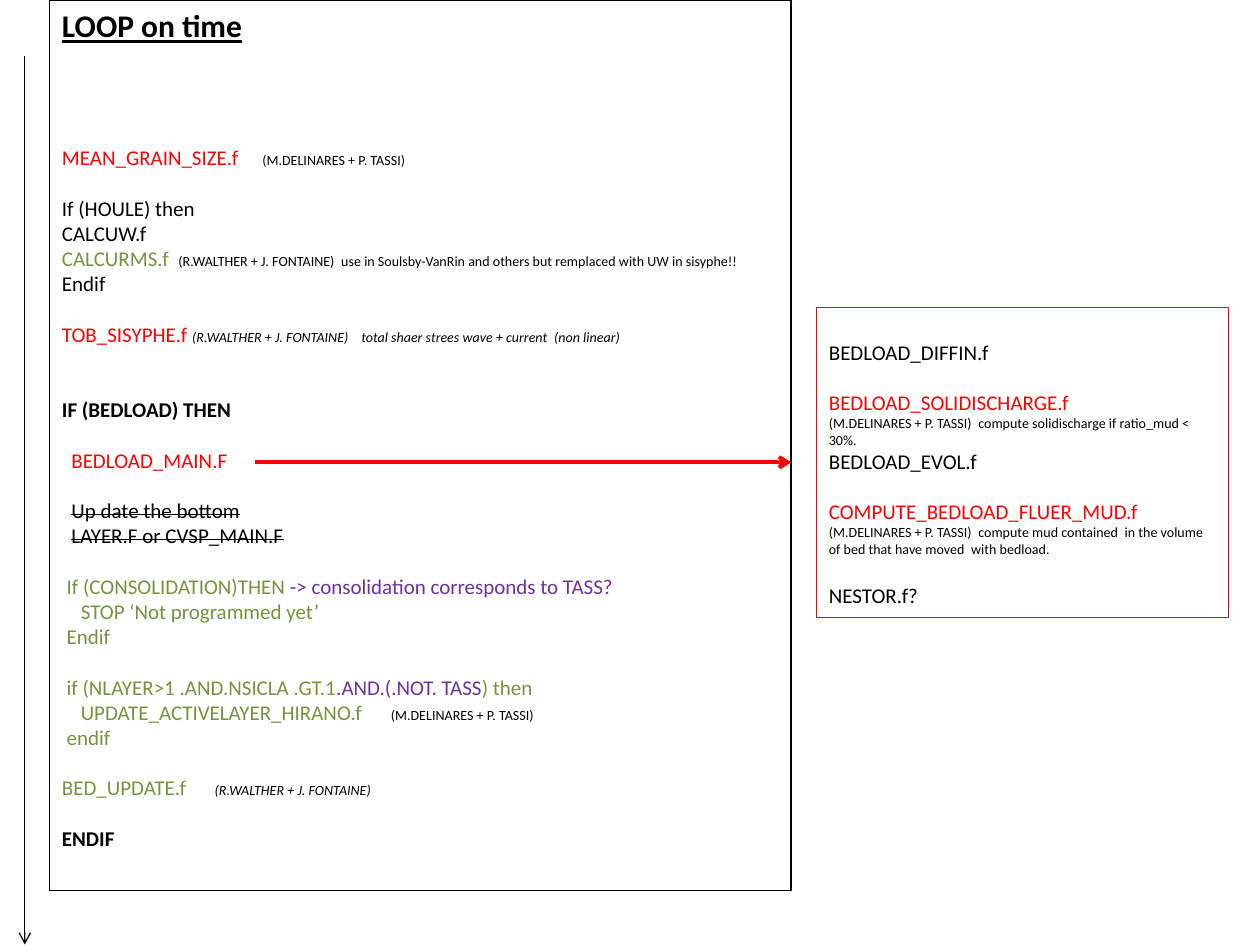
from lxml import etree
from pptx import Presentation
from pptx.dml.color import RGBColor
from pptx.enum.shapes import MSO_CONNECTOR, MSO_SHAPE
from pptx.enum.text import MSO_ANCHOR, PP_ALIGN
from pptx.oxml.ns import qn
from pptx.util import Cm, Pt

RECT = MSO_SHAPE.RECTANGLE
LINE = MSO_CONNECTOR.STRAIGHT
TOP = MSO_ANCHOR.TOP
LEFT = PP_ALIGN.LEFT

HUES = {"black": "000000", "red": "FF0000", "green": "77933C", "purple": "7030A0"}
STYLES = {
    "title": (18, "black", "bu"),
    "bold": (12, "black", "b"),
    "code": (12, "black", ""),
    "gone": (12, "black", "s"),
    "red": (12, "red", ""),
    "green": (12, "green", ""),
    "purple": (12, "purple", ""),
    "note": (8, "black", ""),
    "slant": (8, "black", "i"),
}
ROW = 14.4
STEP = 0.095
SPACE = 0.226
FONT = "Calibri"
GRAIN = "(M.DELINARES + P. TASSI)"
WAVE = "(R.WALTHER + J. FONTAINE)"

# rows: blank rows above, indent steps, runs; a number is a space that many times as wide
LOOP = [
    (0, 0, [("LOOP on time", "title")]),
    (4, 0, [("MEAN_GRAIN_SIZE.f", "red"), (5, "red"), (GRAIN, "note")]),
    (1, 0, [("If (HOULE) then", "code")]),
    (0, 0, [("CALCUW.f", "code")]),
    (0, 0, [("CALCURMS.f", "green"), (2, "green"), (WAVE, "note"), (2, "note"),
            ("use in Soulsby-VanRin and others but remplaced with UW in sisyphe!!", "note")]),
    (0, 0, [("Endif", "code")]),
    (1, 0, [("TOB_SISYPHE.f ", "red"), (WAVE, "slant"), (4, "slant"),
            ("total shaer strees wave + current", "slant"), (2, "slant"),
            ("(non linear)", "slant")]),
    (2, 0, [("IF (BEDLOAD) THEN", "bold")]),
    (1, 2, [("BEDLOAD_MAIN.F", "red")]),
    (1, 2, [("Up date the bottom", "gone")]),
    (0, 2, [("LAYER.F or CVSP_MAIN.F", "gone")]),
    (1, 1, [("If (CONSOLIDATION)THEN ", "green"),
            ("-> consolidation corresponds to TASS?", "purple")]),
    (0, 4, [("STOP ‘Not programmed yet’", "green")]),
    (0, 1, [("Endif", "green")]),
    (1, 1, [("if (NLAYER>1 .AND.NSICLA .GT.1", "green"),
            (".AND.(.NOT. TASS", "purple"), (") then", "green")]),
    (0, 4, [("UPDATE_ACTIVELAYER_HIRANO.f", "green"), (6, "green"), (GRAIN, "note")]),
    (0, 1, [("endif", "green")]),
    (1, 0, [("BED_UPDATE.f", "green"), (6, "green"), (WAVE, "slant")]),
    (1, 0, [("ENDIF", "bold")]),
]
BEDLOAD = [
    (0, 0, [("BEDLOAD_DIFFIN.f", "code")]),
    (1, 0, [("BEDLOAD_SOLIDISCHARGE.f", "red")]),
    (0, 0, [(GRAIN, "note"), (2, "note"),
            ("compute solidischarge if ratio_mud < 30%.", "note")]),
    (0, 0, [("BEDLOAD_EVOL.f", "code")]),
    (1, 0, [("COMPUTE_BEDLOAD_FLUER_MUD.f", "red")]),
    (0, 0, [(GRAIN, "note"), (2, "note"), ("compute mud contained", "note"), (2, "note"),
            ("in the volume of bed that have moved", "note"), (2, "note"),
            ("with bedload.", "note")]),
    (1, 0, [("NESTOR.f?", "code")]),
]
BOXES = [
    ((1, 0, 14.95, 17.95), "black", 0.13, LOOP),
    ((16.46, 6.2, 8.3, 6.25), "red", 0.64, BEDLOAD),
]
ARROWS = [
    ((0.5, 1.12, 0.5, 19.04), "black", 0.75),
    ((5.15, 9.32, 15.95, 9.32), "red", 2.25),
]


def hue(name):
    return RGBColor.from_string(HUES[name])


def add_run(par, text, style):
    size, tint, marks = STYLES[style]
    run = par.add_run()
    props = run._r.get_or_add_rPr()
    if isinstance(text, int):
        run.text = " "
        props.set("spc", str(round((text - 1) * SPACE * size * 100)))
    else:
        run.text = text
    font = run.font
    font.name, font.size = FONT, Pt(size)
    font.color.rgb = hue(tint)
    font.bold, font.italic = "b" in marks, "i" in marks
    font.underline = "u" in marks
    if "s" in marks:
        props.set("strike", "sngStrike")


def fill_row(par, gap, indent, runs):
    par.alignment = LEFT
    par.space_before = Pt(gap * ROW)
    props = par._p.get_or_add_pPr()
    props.set("marL", str(Cm(indent * STEP)))
    props.set("indent", "0")
    for text, style in runs:
        add_run(par, text, style)


def add_box(slide, place, tint, inset, rows):
    box = slide.shapes.add_shape(RECT, *map(Cm, place))
    box.shadow.inherit = False
    box.fill.background()
    box.line.color.rgb = hue(tint)
    box.line.width = Pt(0.75)
    frame = box.text_frame
    frame.word_wrap = True
    frame.vertical_anchor = TOP
    frame.margin_top = Cm(inset)
    for num, row in enumerate(rows):
        par = frame.add_paragraph() if num else frame.paragraphs[0]
        fill_row(par, *row)


def add_arrow(slide, ends, tint, width):
    arrow = slide.shapes.add_connector(LINE, *map(Cm, ends))
    arrow.line.color.rgb = hue(tint)
    arrow.line.width = Pt(width)
    etree.SubElement(arrow.line._get_or_add_ln(), qn("a:tailEnd"), type="arrow")
    etree.SubElement(arrow._element.spPr, qn("a:effectLst"))


def main():
    deck = Presentation()
    deck.slide_width, deck.slide_height = Cm(25.4), Cm(19.05)
    slide = deck.slides.add_slide(deck.slide_layouts[6])
    for box in BOXES:
        add_box(slide, *box)
    for arrow in ARROWS:
        add_arrow(slide, *arrow)
    deck.save("out.pptx")


if __name__ == "__main__":
    main()
